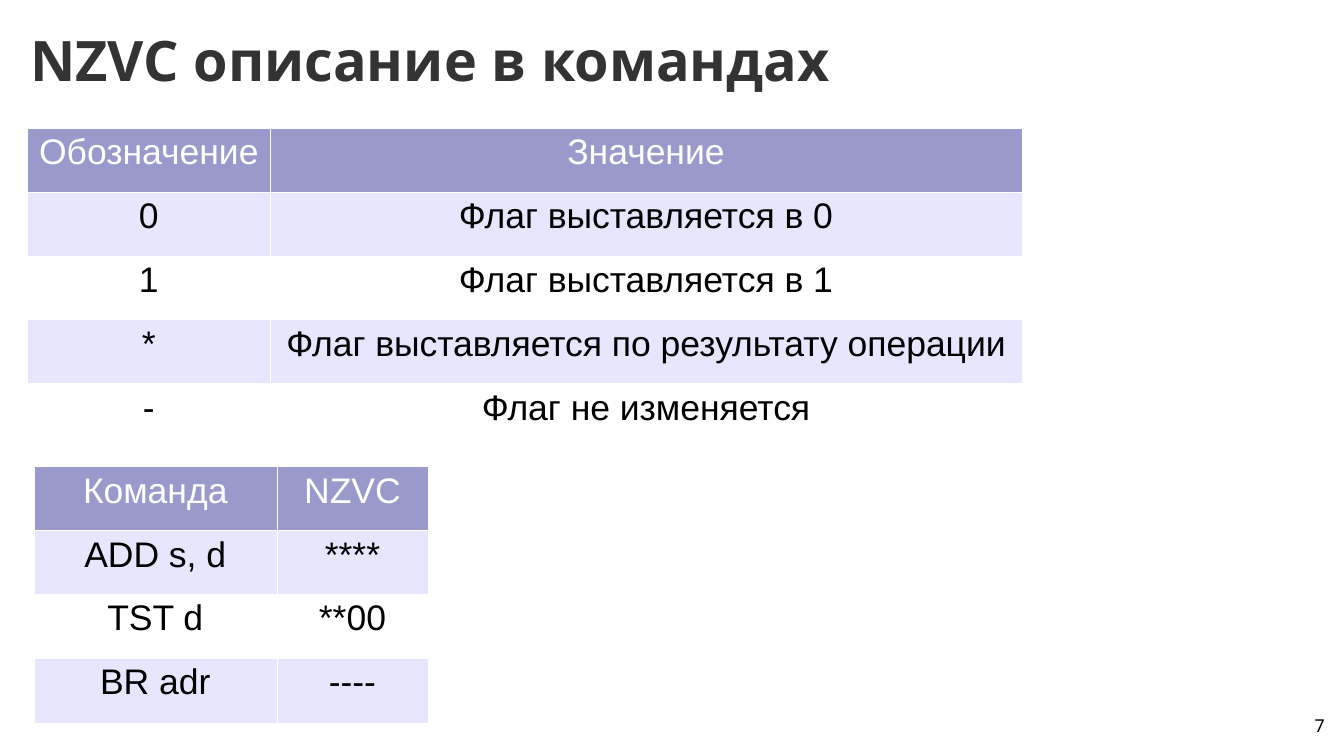
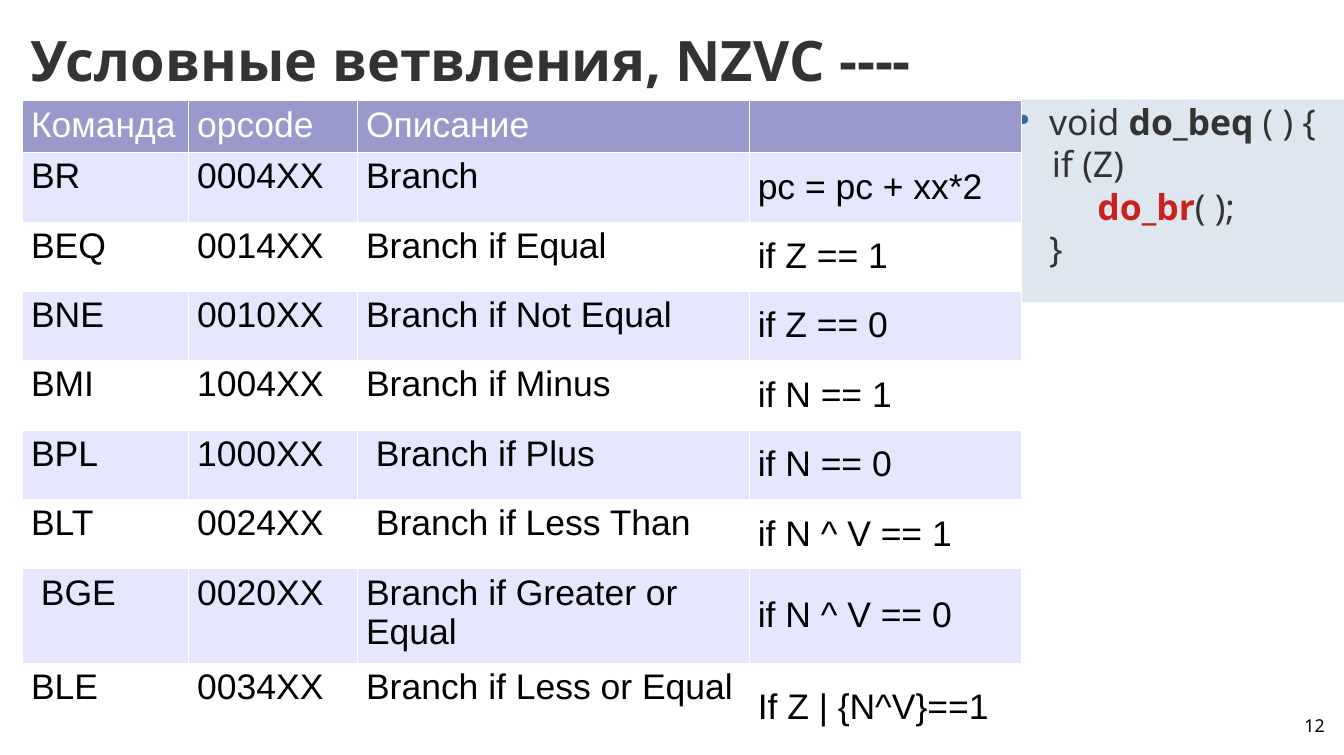
from itertools import product

from lxml.etree import SubElement
from pptx import Presentation
from pptx.dml.color import RGBColor
from pptx.enum.shapes import MSO_SHAPE
from pptx.enum.text import MSO_ANCHOR, PP_ALIGN
from pptx.oxml.ns import qn
from pptx.util import Pt

PX = 9144  # EMU per px, 100 px to the inch
WIDTH, HEIGHT = 1472, 827
BLANK_LAYOUT = 6

HEADING_FONT, TABLE_FONT = "Noto Sans", "Arial"
INK = RGBColor(0x33, 0x33, 0x33)
BLACK = RGBColor(0x00, 0x00, 0x00)
WHITE = RGBColor(0xFF, 0xFF, 0xFF)
HEADER_FILL = RGBColor(0x99, 0x99, 0xCC)
BAND_FILL = RGBColor(0xE6, 0xE6, 0xFF)
CODE_FILL = RGBColor(0xDE, 0xE6, 0xEF)
CALL_RED = RGBColor(0xC9, 0x21, 0x1E)
BULLET_BLUE = RGBColor(0x34, 0x65, 0xAF)

FLAG_ROWS = [
    ("Обозначение", "Значение"),
    ("0", "Флаг выставляется в 0"),
    ("1", "Флаг выставляется в 1"),
    ("*", "Флаг выставляется по результату операции"),
    ("-", "Флаг не изменяется"),
]
COMMAND_ROWS = [
    ("Команда", "NZVC"),
    ("ADD s, d", "****"),
    ("TST d", "**00"),
    ("BR adr", "----"),
]
BRANCH_ROWS = [
    ("Команда", "opcode", "Описание", ""),
    ("BR", "0004XX", "Branch", "pc = pc + xx*2"),
    ("BEQ", "0014XX", "Branch if Equal", "if Z == 1"),
    ("BNE", "0010XX", "Branch if Not Equal", "if Z == 0"),
    ("BMI", "1004XX", "Branch if Minus", "if N == 1"),
    ("BPL", "1000XX", " Branch if Plus", "if N == 0"),
    ("BLT", "0024XX", " Branch if Less Than", "if N ^ V == 1"),
    (" BGE", "0020XX", "Branch if Greater or Equal", "if N ^ V == 0"),
    ("BLE", "0034XX", "Branch if Less or Equal", "If Z | {N^V}==1"),
]
# Each line is a list of spans: text, colour, bold
CODE_LINES = [
    [("void ", INK, False), ("do_beq", INK, True), (" ( ) {", INK, False)],
    [("\tif (Z)", INK, False)],
    [("\t\t", INK, False), ("do_br", CALL_RED, True), ("( );", INK, False)],
    [("}", INK, False)],
]


def px(*lengths):
    return [length * PX for length in lengths]


def style_run(run, font, size, color, bold=False):
    run.font.name = font
    run.font.size = Pt(size)
    run.font.color.rgb = color
    run.font.bold = bold


def clear_margins(frame):
    frame.margin_left = frame.margin_top = 0
    frame.margin_right = frame.margin_bottom = 0
    frame.word_wrap = True


def add_text(page, frame_px, text, size, color, bold=False,
             align=PP_ALIGN.LEFT, anchor=MSO_ANCHOR.TOP):
    frame = page.shapes.add_textbox(*px(*frame_px)).text_frame
    clear_margins(frame)
    frame.vertical_anchor = anchor
    frame.text = text
    para = frame.paragraphs[0]
    para.alignment = align
    style_run(para.runs[0], HEADING_FONT, size, color, bold)


def add_page(deck, title, number):
    page = deck.slides.add_slide(deck.slide_layouts[BLANK_LAYOUT])
    add_text(page, (33, 23, 1416, 83), title, 44, INK, bold=True,
             anchor=MSO_ANCHOR.MIDDLE)
    add_text(page, (1108, 783, 343, 31), str(number), 14, BLACK,
             align=PP_ALIGN.RIGHT)
    return page


def add_hairlines(cell):
    """Put thin white borders before the cell's fill, as the schema orders."""
    properties = cell._tc.get_or_add_tcPr()
    for index, side in enumerate(("lnL", "lnR", "lnT", "lnB")):
        line = SubElement(properties, qn(f"a:{side}"), w="720")
        fill = SubElement(line, qn("a:solidFill"))
        SubElement(fill, qn("a:srgbClr"), val=str(WHITE))
        properties.insert(index, line)


def row_fill(row):
    if row == 0:
        return HEADER_FILL
    return BAND_FILL if row % 2 else WHITE


def add_banded_table(page, left, top, columns, heights, rows,
                     align=PP_ALIGN.LEFT, middle_column=None):
    """Body cells of middle_column are centred vertically."""
    table = page.shapes.add_table(
        len(rows), len(columns),
        *px(left, top, sum(columns), sum(heights))).table
    table.first_row = table.horz_banding = False
    for column, width in zip(table.columns, columns):
        column.width = width * PX
    for row, height in zip(table.rows, heights):
        row.height = height * PX
    for row, column in product(range(len(rows)), range(len(columns))):
        cell = table.cell(row, column)
        cell.fill.solid()
        cell.fill.fore_color.rgb = row_fill(row)
        add_hairlines(cell)
        if row and column == middle_column:
            cell.vertical_anchor = MSO_ANCHOR.MIDDLE
        cell.text_frame.text = rows[row][column]
        para = cell.text_frame.paragraphs[0]
        para.alignment = align
        for run in para.runs:
            style_run(run, TABLE_FONT, 28, BLACK if row else WHITE)


def add_bullet(para):
    properties = para._p.get_or_add_pPr()
    properties.set("marL", str(47 * PX))
    properties.set("indent", str(-35 * PX))
    color = SubElement(properties, qn("a:buClr"))
    SubElement(color, qn("a:srgbClr"), val=str(BULLET_BLUE))
    SubElement(properties, qn("a:buSzPct"), val="45000")
    SubElement(properties, qn("a:buChar"), char="●")


def add_code_box(page, frame_px, lines):
    box = page.shapes.add_shape(MSO_SHAPE.RECTANGLE, *px(*frame_px))
    box.shadow.inherit = False
    box.fill.solid()
    box.fill.fore_color.rgb = CODE_FILL
    box.line.fill.background()
    frame = box.text_frame
    clear_margins(frame)
    frame.vertical_anchor = MSO_ANCHOR.TOP
    para = frame.paragraphs[0]
    para.alignment = PP_ALIGN.LEFT
    add_bullet(para)
    for index, spans in enumerate(lines):
        if index:
            para.add_line_break()
        for text, color, bold in spans:
            span = para.add_run()
            span.text = text
            style_run(span, HEADING_FONT, 28, color, bold)


def build_flags_page(deck):
    page = add_page(deck, "NZVC описание в командах", 7)
    for left, top, columns, rows in (
            (30, 140, (266, 823), FLAG_ROWS),
            (37, 511, (266, 166), COMMAND_ROWS)):
        heights = [70] * (len(rows) - 1) + [71]
        add_banded_table(page, left, top, columns, heights, rows,
                         align=PP_ALIGN.CENTER)


def build_branches_page(deck):
    page = add_page(deck, "Условные ветвления, NZVC ----", 12)
    add_code_box(page, (1102, 109, 373, 222), CODE_LINES)
    add_banded_table(page, 24, 110, (182, 185, 429, 298),
                     [54] + [76] * 6 + [97] * 2, BRANCH_ROWS,
                     middle_column=3)


def main():
    deck = Presentation()
    deck.slide_width, deck.slide_height = px(WIDTH, HEIGHT)
    build_flags_page(deck)
    build_branches_page(deck)
    deck.save("out.pptx")


if __name__ == "__main__":
    main()
